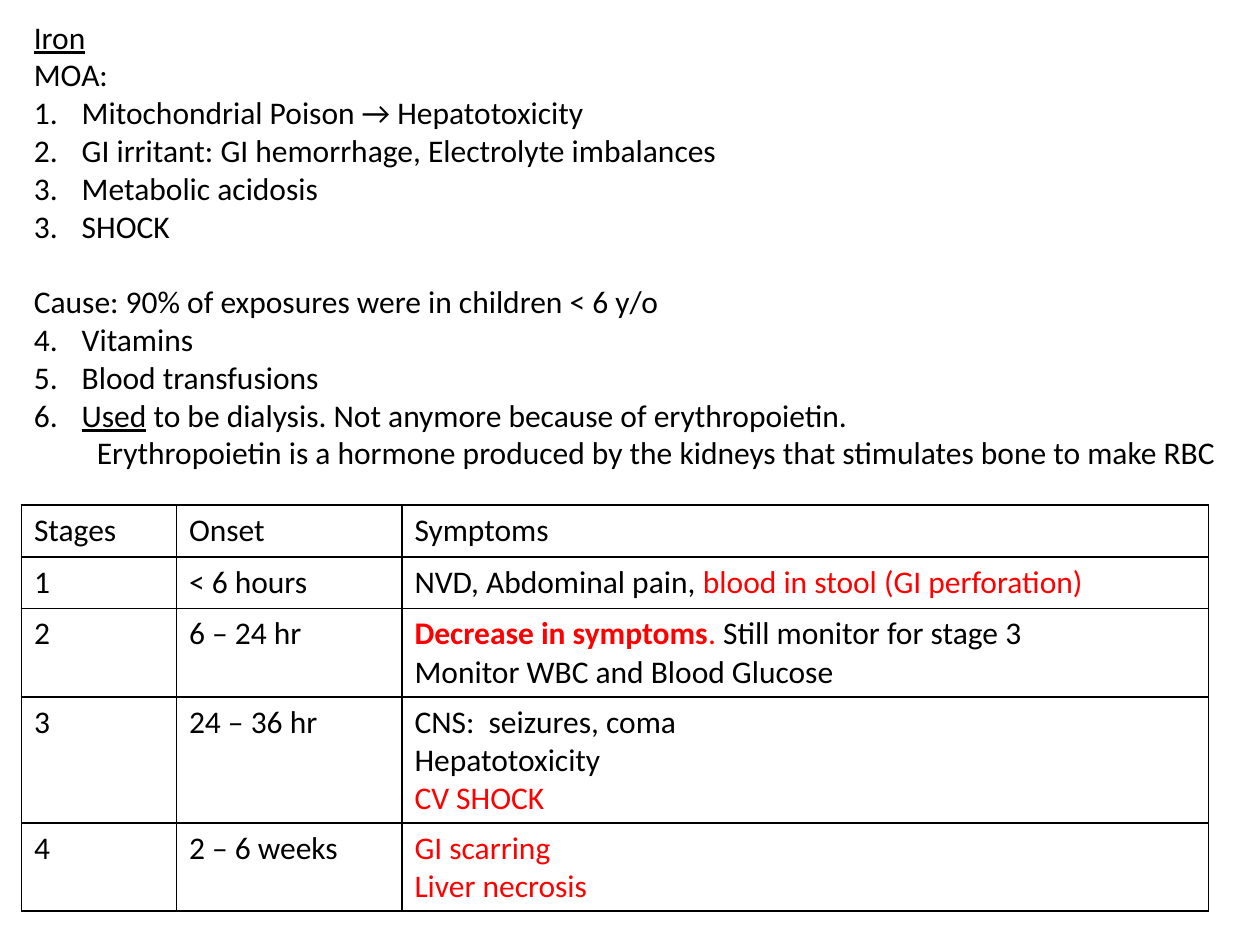
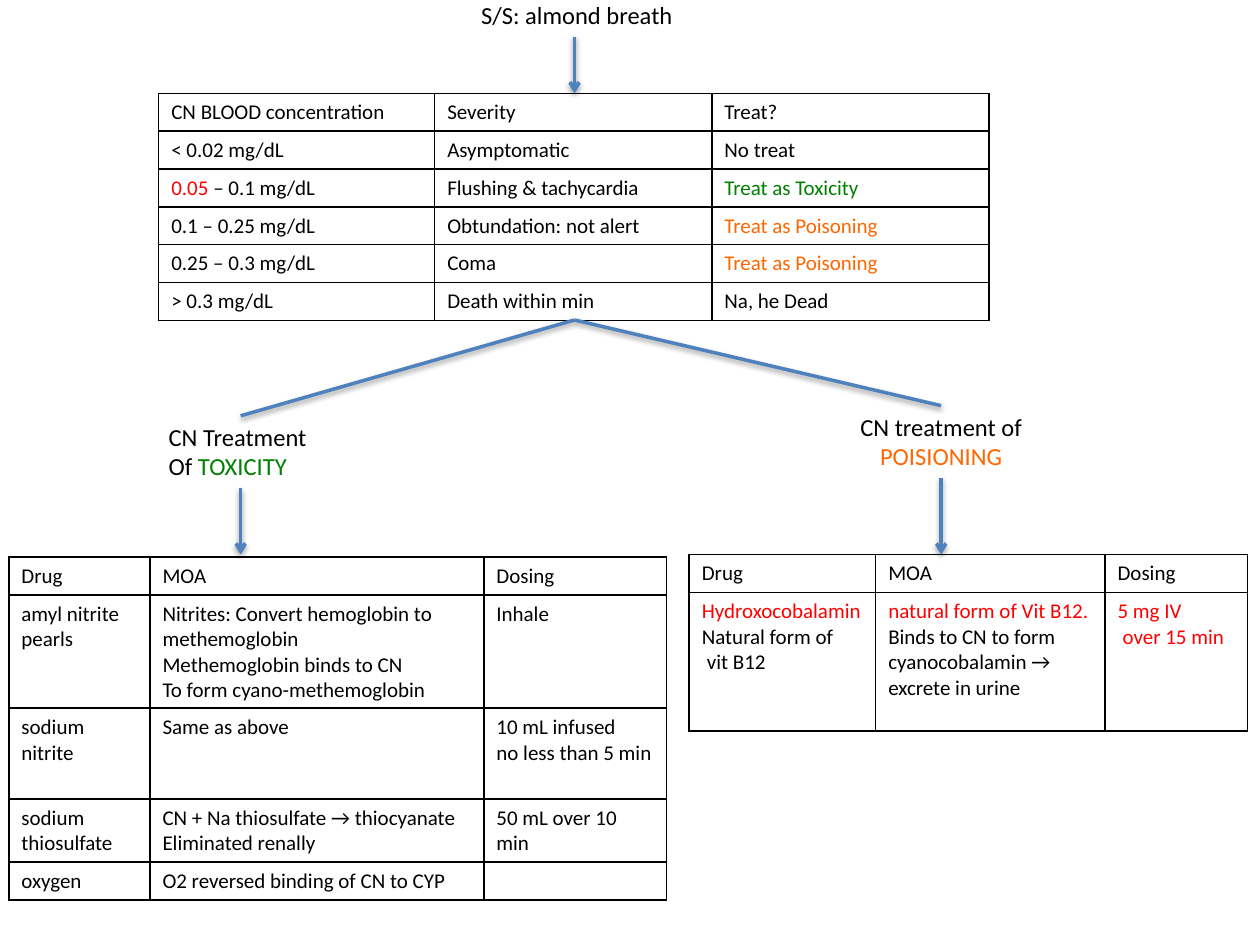
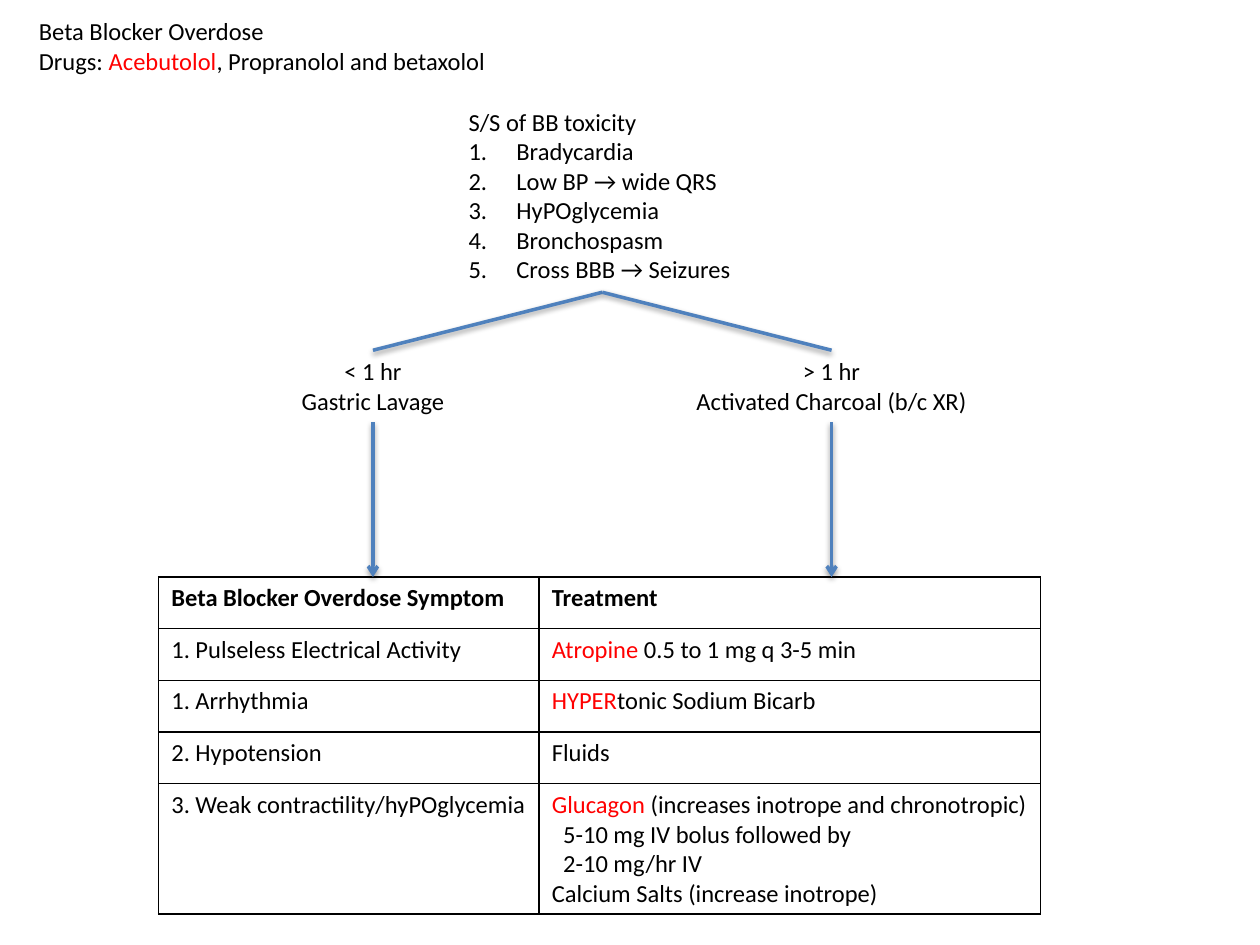
import pptx
import pptx.dml.color
import pptx.enum.shapes
import pptx.enum.text
import pptx.util
from lxml import etree
from pptx.oxml.ns import qn
from pptx.util import Inches

COLORS = {"black": "000000", "red": "FF0000", "green": "008000",
          "orange": "FF6600", "blue": "4F81BD"}
FONT = "Calibri"
NUMBER_INDENT = 0.38


# A paragraph is a string, a list of runs, or a dict holding "runs" and its layout.
# A run is a string or a (text, styles) pair.
def numbered(runs, start=None):
    return {"runs": runs, "numbered": True, "start": start}


def indented(runs, indent):
    return {"runs": runs, "indent": indent}


def red(text):
    return [(text, "red")]


IRON_NOTES = [
    [("Iron", "underline")],
    "MOA:",
    numbered("Mitochondrial Poison → Hepatotoxicity"),
    numbered("GI irritant: GI hemorrhage, Electrolyte imbalances", 2),
    numbered("Metabolic acidosis", 2),
    numbered("SHOCK", 3),
    {"runs": "Cause: 90% of exposures were in children < 6 y/o", "before": 21.6},
    numbered("Vitamins"),
    numbered("Blood transfusions"),
    numbered([("Used", "underline"), " to be dialysis. Not anymore because of erythropoietin."]),
    indented("Erythropoietin is a hormone produced by the kidneys that stimulates bone to make RBC", 0.5),
]
# Each table cell is a list of paragraphs.
IRON_STAGES = [
    [["Stages"], ["Onset"], ["Symptoms"]],
    [["1"], ["< 6 hours"],
     [["NVD, Abdominal pain, ", ("blood in stool (GI perforation)", "red")]]],
    [["2"], ["6 – 24 hr"],
     [[("Decrease in symptoms", "red bold"), (". ", "red"), "Still monitor for stage 3"],
      "Monitor WBC and Blood Glucose"]],
    [["3"], ["24 – 36 hr"], ["CNS:  seizures, coma", "Hepatotoxicity", red("CV SHOCK")]],
    [["4"], ["2 – 6 weeks"], [red("GI scarring"), red("Liver necrosis")]],
]

CYANIDE_SEVERITY = [
    [["CN BLOOD concentration"], ["Severity"], ["Treat?"]],
    [["< 0.02 mg/dL"], ["Asymptomatic"], ["No treat"]],
    [[[("0.05", "red"), " – 0.1 mg/dL"]], ["Flushing & tachycardia"],
     [[("Treat as Toxicity", "green")]]],
    [["0.1 – 0.25 mg/dL"], ["Obtundation: not alert"], [[("Treat as Poisoning", "orange")]]],
    [["0.25 – 0.3 mg/dL"], ["Coma"], [[("Treat as Poisoning", "orange")]]],
    [["> 0.3 mg/dL"], ["Death within min"], ["Na, he Dead"]],
]
DRUG_HEADER = [["Drug"], ["MOA"], ["Dosing"]]
TOXICITY_DRUGS = [
    DRUG_HEADER,
    [["amyl nitrite", "pearls"],
     ["Nitrites: Convert hemoglobin to methemoglobin", "Methemoglobin binds to CN",
      "To form cyano-methemoglobin"],
     ["Inhale"]],
    [["sodium", "nitrite"], ["Same as above"], ["10 mL infused", "no less than 5 min"]],
    [["sodium", "thiosulfate"],
     ["CN + Na thiosulfate → thiocyanate", "Eliminated renally"], ["50 mL over 10 min"]],
    [["oxygen"], ["O2 reversed binding of CN to CYP"], []],
]
POISONING_DRUGS = [
    DRUG_HEADER,
    [[red("Hydroxocobalamin"), "Natural form of", indented("vit B12", 0.04)],
     [red("natural form of Vit B12."), "Binds to CN to form cyanocobalamin → excrete in urine"],
     [red("5 mg IV"), indented(red("over 15 min"), 0.04)]],
]

BLOCKER_DRUGS = ["Beta Blocker Overdose",
                 ["Drugs: ", ("Acebutolol", "red"), ", Propranolol and betaxolol"]]
BLOCKER_SIGNS = ["S/S of BB toxicity"] + [numbered(sign) for sign in (
    "Bradycardia", "Low BP → wide QRS", "HyPOglycemia", "Bronchospasm", "Cross BBB → Seizures")]
BLOCKER_TREATMENT = [
    [[[("Beta Blocker Overdose Symptom", "bold")]], [[("Treatment", "bold")]]],
    [["1. Pulseless Electrical Activity"], [[("Atropine ", "red"), "0.5 to 1 mg q 3-5 min"]]],
    [["1. Arrhythmia"], [[("HYPER", "red"), "tonic Sodium Bicarb"]]],
    [["2. Hypotension"], ["Fluids"]],
    [["3. Weak contractility/hyPOglycemia"],
     [[("Glucagon", "red"), " (increases inotrope and chronotropic)"],
      indented("5-10 mg IV bolus followed by", 0.09), indented("2-10 mg/hr IV", 0.09),
      "Calcium Salts (increase inotrope)"]],
]


def rgb(name):
    return pptx.dml.color.RGBColor.from_string(COLORS[name])


def sub(parent, tag, **attrs):
    return etree.SubElement(parent, qn(tag), {k: str(v) for k, v in attrs.items()})


def add_run(p, run, size):
    text, styles = (run, "") if isinstance(run, str) else run
    styles = styles.split()
    r = p.add_run()
    r.text = text
    r.font.name = FONT
    r.font.size = pptx.util.Pt(size)
    r.font.bold = "bold" in styles
    r.font.underline = "underline" in styles
    r.font.color.rgb = rgb(next((name for name in styles if name in COLORS), "black"))


def fill_text(tf, paragraphs, size, align=None):
    if not paragraphs:
        sub(tf.paragraphs[0]._p, "a:endParaRPr", sz=size * 100)
    for i, item in enumerate(paragraphs):
        p = tf.add_paragraph() if i else tf.paragraphs[0]
        item = item if isinstance(item, dict) else {"runs": item}
        p.alignment = align
        if "before" in item:
            p.space_before = pptx.util.Pt(item["before"])
        pPr = p._p.get_or_add_pPr()
        if "indent" in item:
            pPr.set("marL", str(Inches(item["indent"])))
        if item.get("numbered"):
            pPr.set("marL", str(Inches(NUMBER_INDENT)))
            pPr.set("indent", str(-Inches(NUMBER_INDENT)))
            start = {"startAt": item["start"]} if item["start"] else {}
            sub(pPr, "a:buFont", typeface="+mj-lt")
            sub(pPr, "a:buAutoNum", type="arabicPeriod", **start)
        runs = item["runs"]
        for run in [runs] if isinstance(runs, str) else runs:
            add_run(p, run, size)


def add_text(s, box, paragraphs, size=14, wrap=False, centered=False):
    tf = s.shapes.add_textbox(*map(Inches, box)).text_frame
    tf.word_wrap = wrap
    tf.auto_size = pptx.enum.text.MSO_AUTO_SIZE.SHAPE_TO_FIT_TEXT
    fill_text(tf, paragraphs, size, pptx.enum.text.PP_ALIGN.CENTER if centered else None)


def add_borders(cell):
    tcPr = cell._tc.get_or_add_tcPr()
    for side in "LRTB":
        ln = sub(tcPr, "a:ln" + side, w=pptx.util.Pt(1))
        sub(sub(ln, "a:solidFill"), "a:srgbClr", val=COLORS["black"])


def add_grid(s, left, top, widths, heights, rows, size):
    """Add a plain table with thin black borders and no fill."""
    table = s.shapes.add_table(len(rows), len(widths), Inches(left), Inches(top),
                               Inches(sum(widths)), Inches(sum(heights))).table
    table.first_row = table.horz_banding = False
    for column, width in zip(table.columns, widths):
        column.width = Inches(width)
    for r, (height, row) in enumerate(zip(heights, rows)):
        table.rows[r].height = Inches(height)
        for c, paragraphs in enumerate(row):
            cell = table.cell(r, c)
            add_borders(cell)
            cell.fill.background()
            fill_text(cell.text_frame, paragraphs, size)


def add_link(s, start, end, arrow=False):
    """Add a blue line with a soft shadow, with an arrowhead at its end if asked."""
    line = s.shapes.add_connector(pptx.enum.shapes.MSO_CONNECTOR.STRAIGHT,
                                  *map(Inches, start + end))
    line.line.color.rgb = rgb("blue")
    line.line.width = pptx.util.Pt(2)
    if arrow:
        sub(line.line._get_or_add_ln(), "a:tailEnd", type="arrow")
    effects = sub(line._element.spPr, "a:effectLst")
    shadow = sub(effects, "a:outerShdw", blurRad=40000, dist=20000, dir=5400000, rotWithShape=0)
    sub(sub(shadow, "a:srgbClr", val=COLORS["black"]), "a:alpha", val=38000)


def build_iron(s):
    add_text(s, (0.17, 0.09, 9.68, 3.74), IRON_NOTES, 18, wrap=True)
    add_grid(s, 0.17, 4.01, [1.23, 1.79, 6.4], [0.41, 0.41, 0.7, 1, 0.7], IRON_STAGES, 18)


def build_cyanide(s):
    middle, toxicity, poisoning = 4.56, 1.91, 7.47
    table_top, table_bottom, drugs_top = 0.74, 2.54, 4.4
    add_text(s, (3.72, -0.05, 1.74, 0.34), ["S/S: almond breath"])
    add_text(s, (1.24, 3.3, 1.32, 0.57), ["CN Treatment", ["Of ", ("TOXICITY", "green")]])
    add_text(s, (6.72, 3.22, 1.5, 0.57), ["CN treatment of", [("POISIONING", "orange")]],
             centered=True)
    add_grid(s, 1.26, table_top, [2.19, 2.2, 2.2], [0.3] * 6, CYANIDE_SEVERITY, 12)
    add_grid(s, 0.07, 4.42, [1.12, 2.65, 1.45], [0.3, 0.9, 0.72, 0.5, 0.3], TOXICITY_DRUGS, 12)
    add_grid(s, 5.47, drugs_top, [1.48, 1.82, 1.13], [0.3, 1.1], POISONING_DRUGS, 12)
    add_link(s, (middle, 0.29), (middle, table_top), arrow=True)
    for x, label_top in ((toxicity, 3.3), (poisoning, 3.22)):
        add_link(s, (middle, table_bottom), (x, label_top))
        add_link(s, (x, label_top + 0.57), (x, drugs_top), arrow=True)


def build_beta_blocker(s):
    middle, signs_bottom, label_top, label_height, table_top = 4.78, 2.32, 2.78, 0.57, 4.58
    add_text(s, (0.21, 0.08, 3.79, 0.57), BLOCKER_DRUGS)
    add_text(s, (3.62, 0.8, 2.31, 1.51), BLOCKER_SIGNS)
    add_grid(s, 1.26, table_top, [3.02, 3.98], [0.41] * 4 + [1.02], BLOCKER_TREATMENT, 14)
    for x, width, label in ((2.96, 1.35, ["< 1 hr", "Gastric Lavage"]),
                            (6.6, 2.38, ["> 1 hr", "Activated Charcoal (b/c XR)"])):
        add_text(s, (x - width / 2, label_top, width, label_height), label, centered=True)
        add_link(s, (middle, signs_bottom), (x, label_top))
        add_link(s, (x, label_top + label_height), (x, table_top), arrow=True)


def main():
    prs = pptx.Presentation()
    prs.slide_width, prs.slide_height = Inches(10), Inches(7.5)
    for build in (build_iron, build_cyanide, build_beta_blocker):
        build(prs.slides.add_slide(prs.slide_layouts[6]))
    prs.save("out.pptx")


if __name__ == "__main__":
    main()
